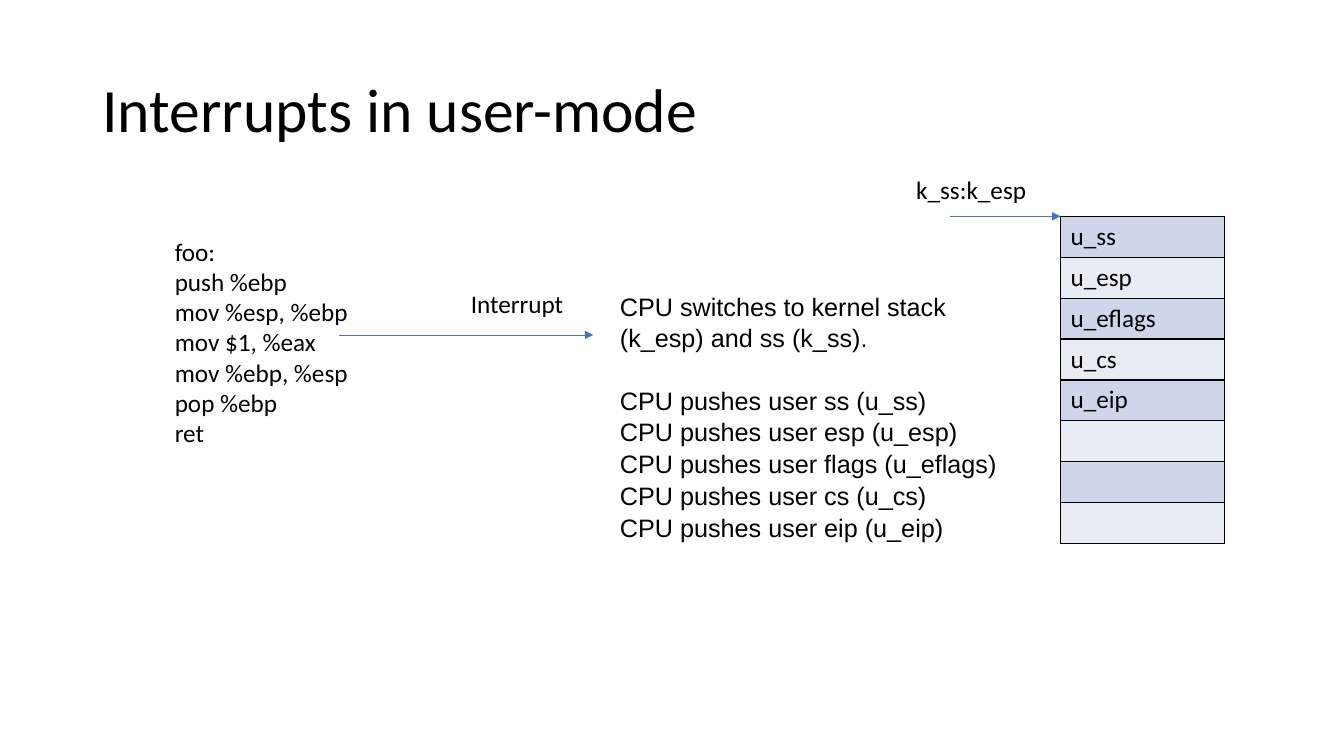
import pptx
import pptx.dml.color
import pptx.enum.shapes
import pptx.enum.text
import pptx.oxml
import pptx.oxml.ns
import pptx.util

PX = 9525  # EMU per px, 96 px to the inch
COLORS = {
    "text": "000000",
    "arrow": "4472C4",
    "row_dark": "CFD5EA",
    "row_light": "E9EBF5",
}
DRAWING = pptx.oxml.ns.nsdecls("a")


def color(name):
    return pptx.dml.color.RGBColor.from_string(COLORS[name])


def format_paragraph(paragraph, size=18, font_name="Calibri"):
    paragraph.font.size = pptx.util.Pt(size)
    paragraph.font.name = font_name
    paragraph.font.color.rgb = color("text")


presentation = pptx.Presentation()
presentation.slide_width = 1280 * PX
presentation.slide_height = 720 * PX
slide = presentation.slides.add_slide(presentation.slide_layouts[5])

# Title
title = slide.shapes.title
title.left, title.top, title.width, title.height = (
    length * PX for length in (88, 38, 1104, 139))
title.text_frame.text = "Interrupts in user-mode"
title.text_frame.vertical_anchor = pptx.enum.text.MSO_ANCHOR.MIDDLE
title_paragraph = title.text_frame.paragraphs[0]
title_paragraph.alignment = pptx.enum.text.PP_ALIGN.LEFT
title_paragraph.line_spacing = 0.9
format_paragraph(title_paragraph, 44)

# Kernel stack
stack_entries = ["u_ss", "u_esp", "u_eflags", "u_cs", "u_eip", "", "", ""]
row_height = 39
stack = slide.shapes.add_table(
    len(stack_entries), 1, 1010 * PX, 206 * PX,
    156 * PX, len(stack_entries) * row_height * PX).table
for index, entry in enumerate(stack_entries):
    stack.rows[index].height = row_height * PX
    cell = stack.cell(index, 0)
    cell.text = entry
    format_paragraph(cell.text_frame.paragraphs[0])
    properties = cell._tc.get_or_add_tcPr()
    for side in ("lnL", "lnR", "lnT", "lnB"):
        properties.append(pptx.oxml.parse_xml(
            f'<a:{side} {DRAWING} w="12700"><a:solidFill>'
            f'<a:srgbClr val="{COLORS["text"]}"/></a:solidFill></a:{side}>'))
    cell.fill.solid()
    cell.fill.fore_color.rgb = color("row_light" if index % 2 else "row_dark")

# Code, labels and the steps of the CPU
code_lines = ["foo:", "push %ebp", "mov %esp, %ebp", "mov $1, %eax",
              "mov %ebp, %esp", "pop %ebp", "ret"]
cpu_steps = ["CPU switches to kernel stack (k_esp) and ss (k_ss)."]
for pushed in ("ss (u_ss)", "esp (u_esp)", "flags (u_eflags)",
               "cs (u_cs)", "eip (u_eip)"):
    cpu_steps.append(f"CPU pushes user {pushed}")

text_boxes = [
    (157, 220, 282, 213, "Calibri", code_lines),
    (439, 270, 192, 38, "Calibri", ["Interrupt"]),
    (863, 161, 169, 38, "Calibri", ["k_ss:k_esp"]),
    (581, 271, 396, 242, "Arial", cpu_steps),
]
for left, top, width, height, font_name, lines in text_boxes:
    text_frame = slide.shapes.add_textbox(
        left * PX, top * PX, width * PX, height * PX).text_frame
    text_frame.word_wrap = True
    text_frame.text = "\n".join(lines)
    for paragraph in text_frame.paragraphs:
        format_paragraph(paragraph, font_name=font_name)
        if font_name == "Arial":
            paragraph.line_spacing = 1.05

# Gap between the stack switch and the pushes
text_frame.paragraphs[1].space_before = pptx.util.Pt(21.7)

# Arrows
for start, end, y in ((323, 565, 319), (905, 1010, 206)):
    arrow = slide.shapes.add_connector(
        pptx.enum.shapes.MSO_CONNECTOR.STRAIGHT,
        start * PX, y * PX, end * PX, y * PX)
    arrow.line.color.rgb = color("arrow")
    arrow.line.width = pptx.util.Pt(0.5)
    arrow.line._get_or_add_ln().append(
        pptx.oxml.parse_xml(f'<a:tailEnd {DRAWING} type="triangle"/>'))
    arrow._element.spPr.append(pptx.oxml.parse_xml(f"<a:effectLst {DRAWING}/>"))

presentation.save("out.pptx")
